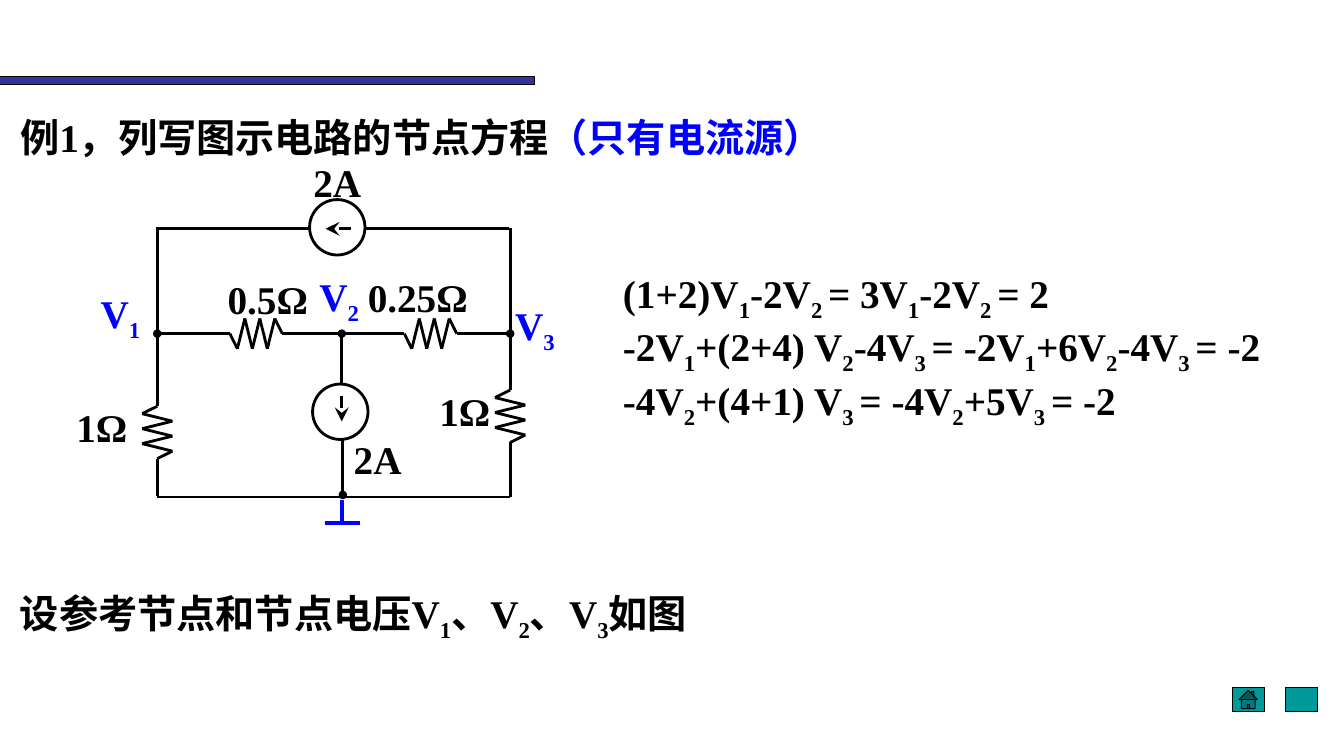
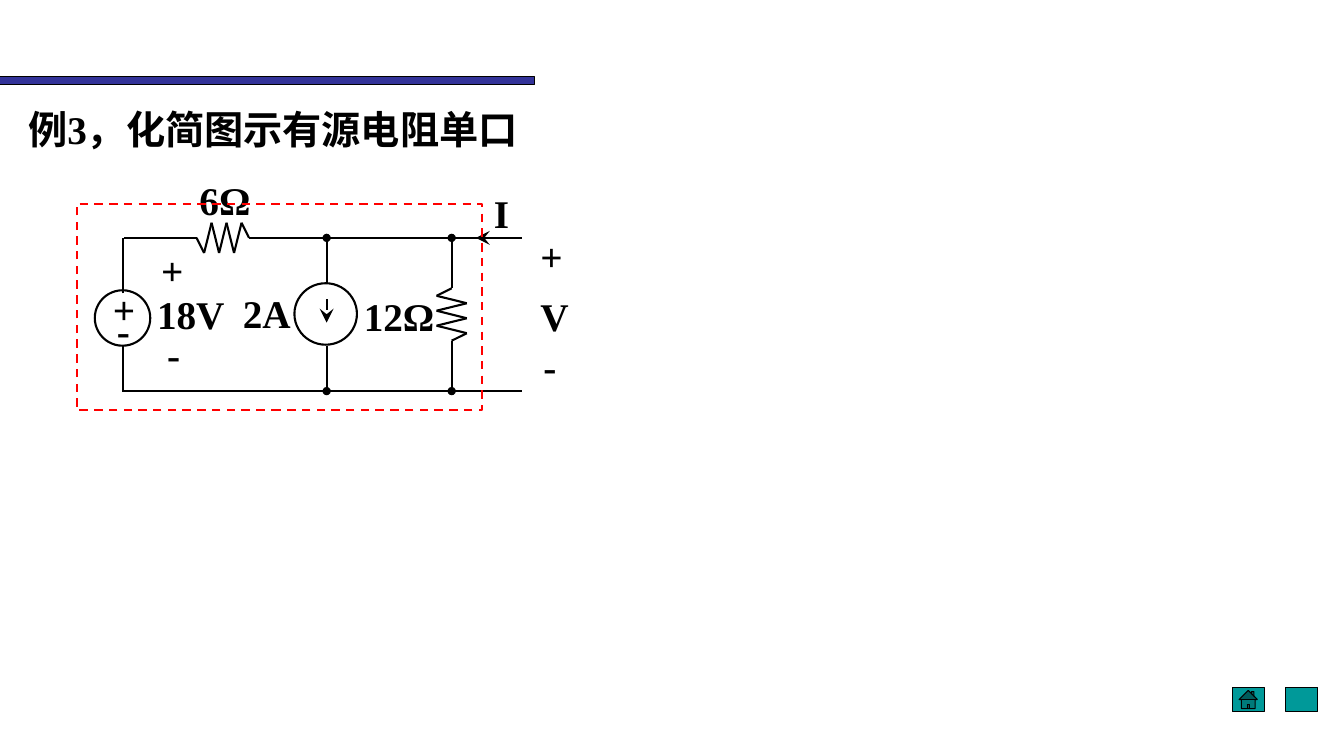
from itertools import pairwise

from lxml.etree import SubElement
from pptx import Presentation
from pptx.dml.color import RGBColor
from pptx.enum.dml import MSO_LINE
from pptx.enum.shapes import MSO_CONNECTOR, MSO_SHAPE
from pptx.enum.text import MSO_ANCHOR, MSO_AUTO_SIZE, PP_ALIGN
from pptx.oxml.ns import qn
from pptx.util import Inches, Pt

COLORS = {
    "black": "000000",
    "blue": "0000FF",
    "red": "FF0000",
    "band": "333399",
    "button": "009999",
}
FONT_FORMAT = {"name": "Times New Roman", "size": Pt(28), "bold": True}
FRAME_FORMAT = {
    "word_wrap": True,
    "auto_size": MSO_AUTO_SIZE.NONE,
    "vertical_anchor": MSO_ANCHOR.TOP,
    "margin_left": Inches(0.1),
    "margin_right": Inches(0.1),
    "margin_top": Inches(0.05),
    "margin_bottom": Inches(0.05),
}
EAST_ASIAN_FONT = "Noto Sans CJK SC"
MARKER_SIZES = {"oval": "med", "stealth": "lg"}
ZIGZAG_LENGTH = 0.52
ZIGZAG_OFFSETS = [0, 0.15, -0.15, 0.15, -0.15, 0.15, -0.15, 0]


def write_text(shape, lines, color="black"):
    frame = shape.text_frame
    for attribute, value in FRAME_FORMAT.items():
        setattr(frame, attribute, value)
    for index, line in enumerate(lines):
        paragraph = frame.add_paragraph() if index else frame.paragraphs[0]
        paragraph.alignment = PP_ALIGN.LEFT
        for piece in line.split("|"):
            run = paragraph.add_run()
            run.text = piece.lstrip("_*")
            for attribute, value in FONT_FORMAT.items():
                setattr(run.font, attribute, value)
            run_color = "blue" if piece.startswith("*") else color
            run.font.color.rgb = RGBColor.from_string(COLORS[run_color])
            properties = run.font._element
            SubElement(properties, qn("a:ea")).set("typeface", EAST_ASIAN_FONT)
            if piece.startswith("_"):
                properties.set("baseline", "-25000")


def style_shape(shape, line_color, line_width, fill_color=None):
    shape.shadow.inherit = False
    shape.line.color.rgb = RGBColor.from_string(COLORS[line_color])
    shape.line.width = Pt(line_width)
    if fill_color:
        shape.fill.solid()
        shape.fill.fore_color.rgb = RGBColor.from_string(COLORS[fill_color])
    else:
        shape.fill.background()


circuits = [
    {
        "title": (0.1, 1.07, 9.74, "例1，列写图示电路的节点方程|*（只有电流源）"),
        "width": 2,
        "lead": 0.23,
        "texts": [
            (0.1, 5.8, 7.14, 1.1, ["设参考节点和节点电压V|_1|、V|_2|、V|_3|如图"]),
            (6.08, 2.62, 6.89, 1.52, [
                "(1+2)V|_1|-2V|_2 |= 3V|_1|-2V|_2 |= 2",
                "-2V|_1|+(2+4) V|_2|-4V|_3 |= -2V|_1|+6V|_2|-4V|_3 |= -2",
                "-4V|_2|+(4+1) V|_3 |= -4V|_2|+5V|_3 |= -2",
            ]),
        ],
        "labels": [
            ("1Ω", 0.66, 3.95, 0.87, "black"),
            ("1Ω", 4.26, 3.79, 0.81, "black"),
            ("0.5Ω", 2.16, 2.68, 1.36, "black"),
            ("0.25Ω", 3.55, 2.66, 1.24, "black"),
            ("2A", 3.01, 1.52, 1.19, "black"),
            ("2A", 3.41, 4.27, 1.19, "black"),
            ("V|_1", 0.9, 2.82, 0.83, "blue"),
            ("V|_2", 3.07, 2.65, 0.83, "blue"),
            ("V|_3", 5.01, 2.94, 0.83, "blue"),
        ],
        "wires": [
            (1.56, 2.25, 1.56, 3.99, None),
            (1.56, 4.73, 1.56, 4.92, None),
            (5.06, 2.26, 5.06, 3.8, None),
            (5.06, 4.43, 5.06, 4.93, None),
            (1.56, 2.27, 3.06, 2.27, None),
            (3.63, 2.27, 5.05, 2.27, None),
            (2.12, 3.31, 1.56, 3.31, "oval"),
            (2.82, 3.31, 3.94, 3.31, None),
            (4.64, 3.31, 5.06, 3.31, "oval"),
            (3.39, 3.8, 3.39, 3.31, "oval"),
            (3.4, 4.36, 3.4, 4.91, "oval"),
            (1.56, 4.93, 5.06, 4.93, None),
            (3.39, 3.93, 3.39, 4.18, "stealth"),
            (3.48, 2.27, 3.23, 2.27, "stealth"),
        ],
        "ground": [
            (3.22, 5.19, 3.57, 5.19, None),
            (3.39, 4.96, 3.39, 5.19, None),
        ],
        "sources": [(3.1, 3.81, 0.55, 0.55), (3.07, 1.98, 0.55, 0.55)],
        "resistors": [
            (2.28, 3.31, False),
            (4.01, 3.31, False),
            (1.56, 4.03, True),
            (5.06, 3.87, True),
        ],
        "ports": [],
    },
    {
        "title": (0.18, 0.99, 7.24, "例3，化简图示有源电阻单口"),
        "width": 1.5,
        "lead": 0.13,
        "texts": [],
        "labels": [
            ("6Ω", 1.88, 1.7, 0.78, "black"),
            ("12Ω", 3.51, 2.85, 0.98, "black"),
            ("2A", 2.31, 2.82, 0.73, "black"),
            ("I", 4.8, 1.83, 0.53, "black"),
            ("18V", 1.46, 2.83, 1.03, "black"),
            ("+", 1.5, 2.39, 0.55, "black"),
            ("-", 1.56, 3.23, 0.33, "black"),
            ("+", 5.26, 2.26, 0.42, "black"),
            ("V", 5.26, 2.85, 0.62, "black"),
            ("-", 5.29, 3.35, 0.66, "black"),
            ("+", 1.02, 2.78, 0.59, "black"),
            ("-", 1.06, 2.99, 0.52, "black"),
        ],
        "wires": [
            (1.23, 2.36, 1.85, 2.36, None),
            (2.6, 2.36, 5.18, 2.36, None),
            (1.23, 3.88, 5.18, 3.88, None),
            (1.22, 2.91, 1.22, 2.36, None),
            (1.22, 3.42, 1.22, 3.89, None),
            (3.24, 2.82, 3.24, 2.36, "oval"),
            (3.24, 3.43, 3.24, 3.88, "oval"),
            (4.48, 2.74, 4.48, 2.36, "oval"),
            (4.48, 3.5, 4.48, 3.88, "oval"),
            (5.03, 2.36, 4.72, 2.36, "stealth"),
            (3.24, 2.97, 3.24, 3.2, "stealth"),
        ],
        "ground": [],
        "sources": [(2.92, 2.81, 0.62, 0.61), (0.94, 2.88, 0.55, 0.55)],
        "resistors": [(1.95, 2.36, False), (4.48, 2.86, True)],
        "ports": [(0.76, 2.02, 4.02, 2.05)],
    },
]

presentation = Presentation()
presentation.slide_width = Inches(13.33)
presentation.slide_height = Inches(7.5)
layout = presentation.slide_layouts[5]
slides = [presentation.slides.add_slide(layout) for circuit in circuits]

layout_shapes = [
    (MSO_SHAPE.RECTANGLE, 0, 0.76, 5.3, 0.08, "band"),
    (MSO_SHAPE.ACTION_BUTTON_HOME, 12.22, 6.82, 0.32, 0.24, "button"),
    (MSO_SHAPE.ACTION_BUTTON_CUSTOM, 12.75, 6.82, 0.32, 0.24, "button"),
]
for number, (kind, left, top, width, height, fill) in enumerate(layout_shapes, 20):
    shape = slides[0].shapes.add_shape(
        kind, Inches(left), Inches(top), Inches(width), Inches(height)
    )
    style_shape(shape, "black", 0.75, fill)
    shape.element.nvSpPr.cNvPr.id = number
    layout.shapes.element.append(shape.element)

for slide, circuit in zip(slides, circuits):
    shapes = slide.shapes
    left, top, width, heading = circuit["title"]
    title = shapes.title
    title.left, title.top = Inches(left), Inches(top)
    title.width, title.height = Inches(width), Inches(0.57)
    write_text(title, [heading])

    for left, top, width, height, lines in circuit["texts"]:
        box = shapes.add_textbox(
            Inches(left), Inches(top), Inches(width), Inches(height)
        )
        write_text(box, lines)

    for label, left, top, width, color in circuit["labels"]:
        box = shapes.add_textbox(
            Inches(left), Inches(top), Inches(width), Inches(0.57)
        )
        write_text(box, [label], color)

    resistor_lines = []
    for left, top, vertical in circuit["resistors"]:
        profile = [(-circuit["lead"], 0)]
        for index, offset in enumerate(ZIGZAG_OFFSETS):
            profile.append((index * ZIGZAG_LENGTH / 7, offset))
        profile.append((ZIGZAG_LENGTH + circuit["lead"], 0))
        points = [
            (left - across, top + along) if vertical else (left + along, top + across)
            for along, across in profile
        ]
        resistor_lines += [(*start, *end, None) for start, end in pairwise(points)]

    strokes = [
        (circuit["wires"] + resistor_lines, "black", circuit["width"]),
        (circuit["ground"], "blue", 3),
    ]
    for stroke_lines, color, width in strokes:
        for start_x, start_y, end_x, end_y, marker in stroke_lines:
            connector = shapes.add_connector(
                MSO_CONNECTOR.STRAIGHT,
                Inches(start_x), Inches(start_y), Inches(end_x), Inches(end_y),
            )
            connector.line.color.rgb = RGBColor.from_string(COLORS[color])
            connector.line.width = Pt(width)
            properties = connector.element.spPr
            if marker:
                tail = SubElement(properties.get_or_add_ln(), qn("a:tailEnd"))
                tail.set("type", marker)
                tail.set("w", MARKER_SIZES[marker])
                tail.set("len", MARKER_SIZES[marker])
            SubElement(properties, qn("a:effectLst"))

    for left, top, width, height in circuit["sources"]:
        source = shapes.add_shape(
            MSO_SHAPE.OVAL, Inches(left), Inches(top), Inches(width), Inches(height)
        )
        style_shape(source, "black", circuit["width"])

    for left, top, width, height in circuit["ports"]:
        port = shapes.add_shape(
            MSO_SHAPE.RECTANGLE,
            Inches(left), Inches(top), Inches(width), Inches(height),
        )
        style_shape(port, "red", circuit["width"])
        port.line.dash_style = MSO_LINE.DASH

presentation.save("out.pptx")
